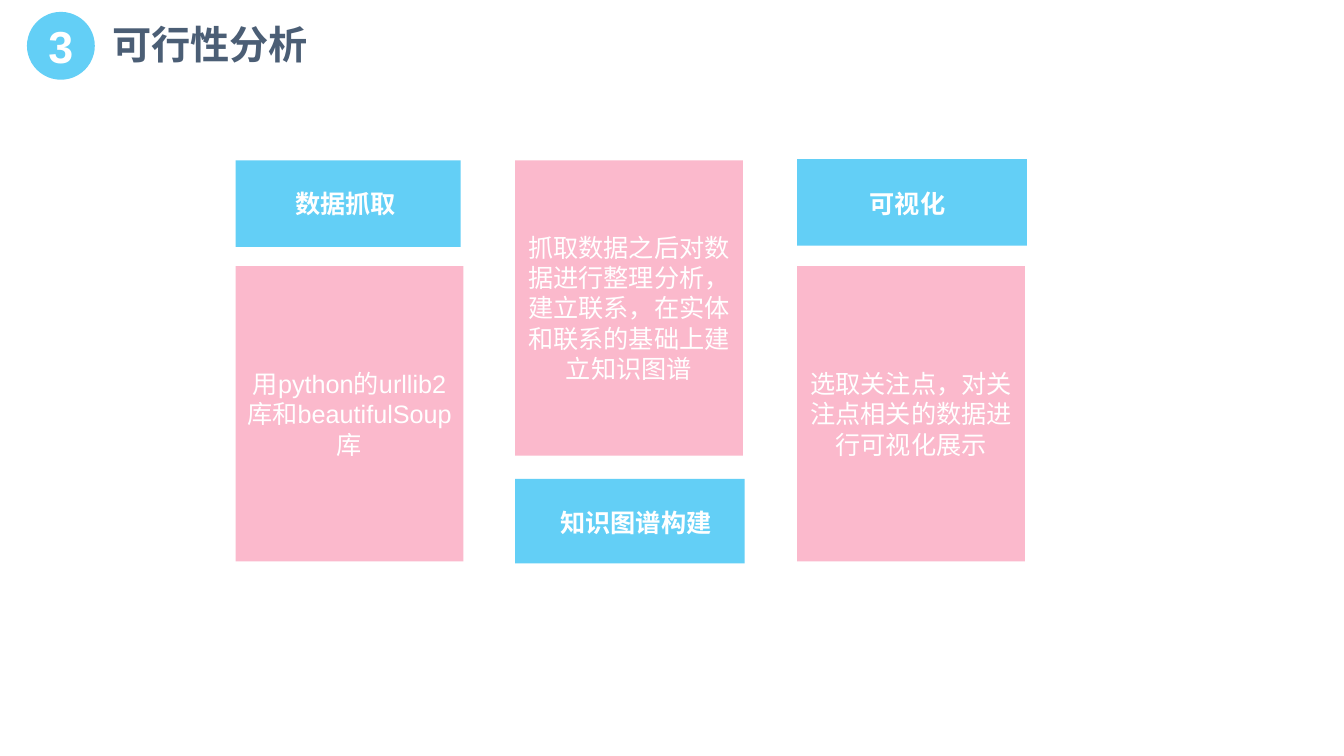
import dataclasses
import pptx
import pptx.util
import pptx.dml.color
import pptx.enum.shapes
import pptx.enum.text

Cm = pptx.util.Cm
Kind = pptx.enum.shapes.MSO_SHAPE
Align = pptx.enum.text.PP_ALIGN
Anchor = pptx.enum.text.MSO_ANCHOR

BLUE, PINK, WHITE, SLATE = "63CFF6", "FBB9CC", "FFFFFF", "4B5E75"


@dataclasses.dataclass
class Box:
    left: float
    top: float
    width: float
    height: float

    def place(self) -> tuple:
        return Cm(self.left), Cm(self.top), Cm(self.width), Cm(self.height)


@dataclasses.dataclass
class Step:
    name: str
    body: str
    head: Box
    label: Box
    card: Box


def tint(code: str) -> pptx.dml.color.RGBColor:
    return pptx.dml.color.RGBColor.from_string(code)


def write(shape, text: str, size: int, color: str = WHITE, bold: bool = False,
          align=Align.LEFT, anchor=Anchor.TOP) -> None:
    frame = shape.text_frame
    frame.word_wrap = True
    frame.auto_size = pptx.enum.text.MSO_AUTO_SIZE.NONE
    frame.vertical_anchor = anchor
    para = frame.paragraphs[0]
    para.alignment = align
    run = para.add_run()
    run.text = text
    run.font.name = "Arial"
    run.font.size = pptx.util.Pt(size)
    run.font.bold = bold
    run.font.color.rgb = tint(color)


def block(slide, kind, box: Box, fill: str):
    shape = slide.shapes.add_shape(kind, *box.place())
    shape.shadow.inherit = False
    shape.fill.solid()
    shape.fill.fore_color.rgb = tint(fill)
    shape.line.fill.background()
    return shape


def draw(slide, step: Step) -> None:
    block(slide, Kind.RECTANGLE, step.head, BLUE)
    label = slide.shapes.add_textbox(*step.label.place())
    write(label, step.name, 18, bold=True)
    card = block(slide, Kind.RECTANGLE, step.card, PINK)
    write(card, step.body, 18, align=Align.CENTER, anchor=Anchor.MIDDLE)


deck = pptx.Presentation()
deck.slide_width, deck.slide_height = Cm(33.87), Cm(19.05)
slide = deck.slides.add_slide(deck.slide_layouts[5])

# Title with its number
title = slide.shapes.title
title.left, title.top, title.width, title.height = Box(2.57, 0.38, 9.25, 1.45).place()
write(title, "可行性分析", 28, SLATE, bold=True)

badge = block(slide, Kind.OVAL, Box(0.68, 0.3, 1.71, 1.71), BLUE)
frame = badge.text_frame
frame.margin_left = frame.margin_right = frame.margin_top = frame.margin_bottom = 0
write(badge, "3", 32, bold=True, align=Align.CENTER, anchor=Anchor.MIDDLE)

# Three steps, the middle one upside down
CARD = (5.74, 7.44)
LABEL = (5.6, 1.03)
steps = [
    Step("数据抓取", "用python的urllib2库和beautifulSoup库",
         Box(5.94, 4.04, 5.67, 2.18), Box(7.19, 4.62, *LABEL),
         Box(5.94, 6.71, *CARD)),
    Step("知识图谱构建", "抓取数据之后对数据进行整理分析，建立联系，在实体和联系的基础上建立知识图谱",
         Box(12.98, 12.07, 5.79, 2.13), Box(13.87, 12.65, *LABEL),
         Box(12.98, 4.04, *CARD)),
    Step("可视化", "选取关注点，对关注点相关的数据进行可视化展示",
         Box(20.09, 4.01, 5.79, 2.18), Box(21.67, 4.62, *LABEL),
         Box(20.09, 6.71, *CARD)),
]
for step in steps:
    draw(slide, step)

deck.save("out.pptx")
